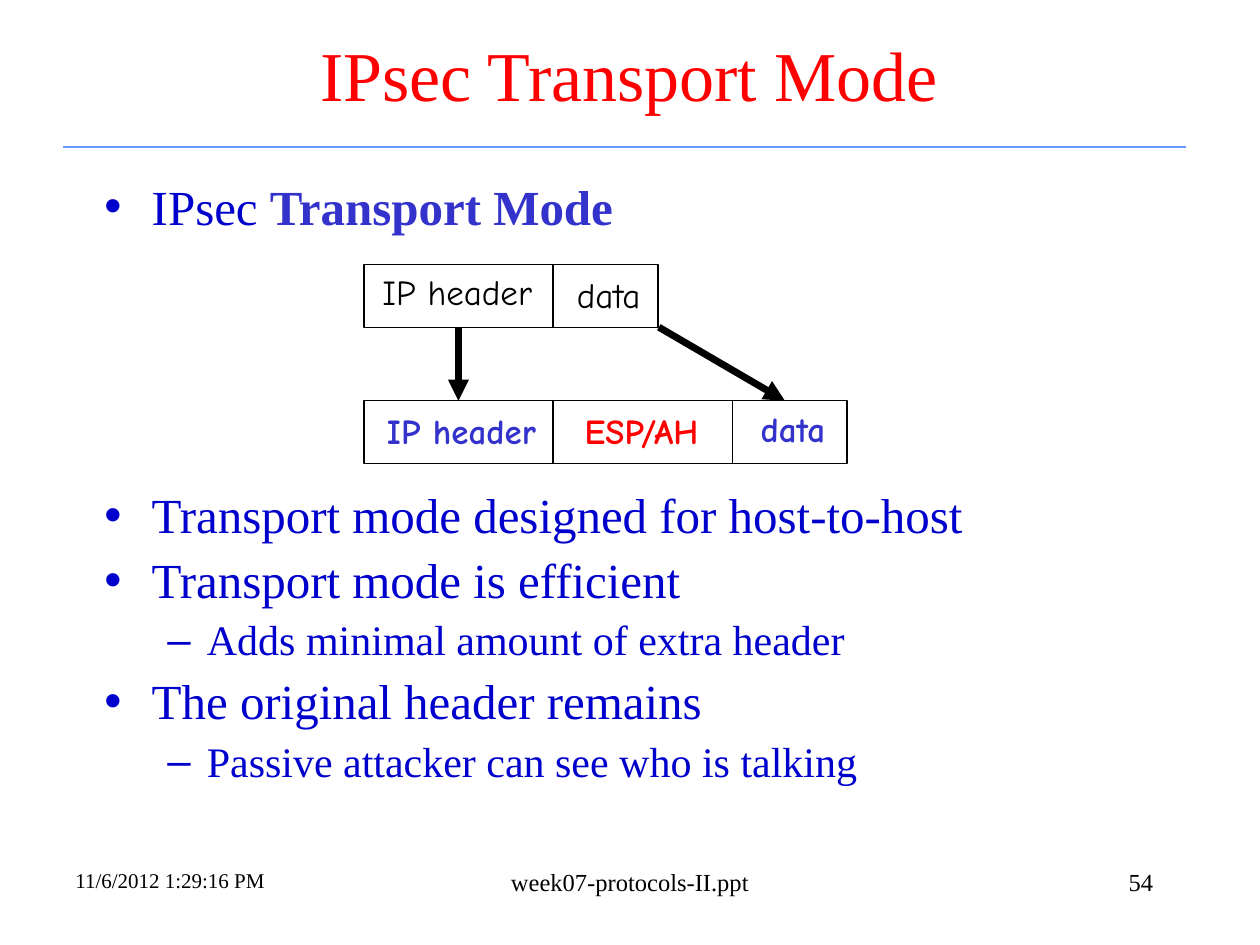
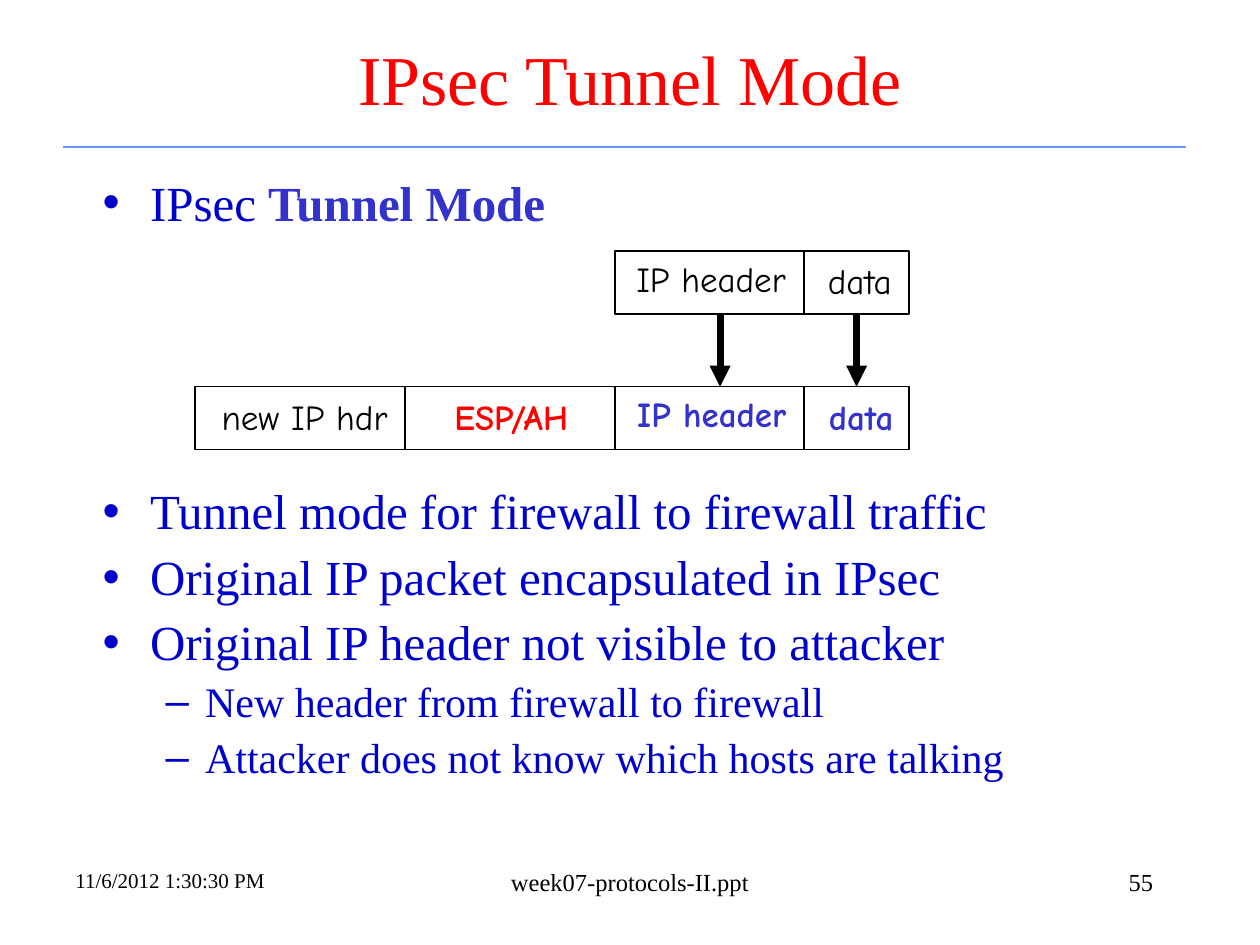
from pptx import Presentation
from pptx.util import Pt
from pptx.dml.color import RGBColor
from pptx.enum.shapes import MSO_CONNECTOR, MSO_SHAPE
from pptx.enum.text import MSO_ANCHOR, MSO_AUTO_SIZE, PP_ALIGN
from pptx.oxml.ns import qn
from lxml.etree import SubElement

COLORS = {"title": "FF0000", "text": "0000CC", "key": "3333CC",
          "esp": "FF0000", "black": "000000", "rule": "6699FF"}
SERIF = "Times New Roman"
COMIC = "Comic Neue"
FOOTER = "week07-protocols-II.ppt"
LEVELS = [{"size": 28, "mark": "•", "left": 27, "hang": 27, "before": 7},
          {"size": 24, "mark": "–", "left": 58.5, "hang": 22.5, "before": 6}]
LABELS = {"IP header": 100, "data": 51.5, "ESP/AH": 82, "new IP hdr": 109.5}
CELL = 36

# Rows hold left, top and cells; each cell is text, width, colour, label left, label top.
SLIDES = [
    {
        "title": "IPsec Transport Mode", "place": (53.5, 15, 612, 54),
        "mode": "Transport Mode", "head": (52.5, 97, 588, 48),
        "rows": [
            (208, 151, [("IP header", 108, "black", 211.5, 151),
                        ("data", 60, "black", 322.5, 152.5)]),
            (208, 229, [("IP header", 108, "key", 214, 230.5),
                        ("ESP/AH", 102.5, "esp", 327, 230.5),
                        ("data", 65.5, "key", 427.5, 229.5)]),
        ],
        "arrows": [(262, 262), (376.5, 448.5)],
        "list": (52.5, 277, 630, 198),
        "points": [(0, "Transport mode designed for host-to-host"),
                   (0, "Transport mode is efficient"),
                   (1, "Adds minimal amount of extra header"),
                   (0, "The original header remains"),
                   (1, "Passive attacker can see who is talking")],
        "date": "11/6/2012 1:29:16 PM", "page": "54",
    },
    {
        "title": "IPsec Tunnel Mode", "place": (54, 24, 612, 40),
        "mode": "Tunnel Mode", "head": (51.5, 95, 528, 42),
        "rows": [
            (351.5, 143.5, [("IP header", 108, "black", 356.5, 143.5),
                            ("data", 60, "black", 466, 144.5)]),
            (111.5, 221, [("new IP hdr", 120, "black", 119.5, 222.5),
                          ("ESP/AH", 120, "esp", 252.5, 222.5),
                          ("IP header", 108, "key", 357, 221),
                          ("data", 60, "key", 466.5, 222.5)]),
        ],
        "arrows": [(411.5, 411.5), (489.5, 489.5)],
        "list": (51.5, 275, 642, 198),
        "points": [(0, "Tunnel mode for firewall to firewall traffic"),
                   (0, "Original IP packet encapsulated in IPsec"),
                   (0, "Original IP header not visible to attacker"),
                   (1, "New header from firewall to firewall"),
                   (1, "Attacker does not know which hosts are talking")],
        "date": "11/6/2012 1:30:30 PM", "page": "55",
    },
]


def tint(name):
    return RGBColor.from_string(COLORS[name])


def write(para, text, size=28, font=SERIF, color="text", bold=False, align=None):
    run = para.add_run()
    run.text = text
    run.font.size = Pt(size)
    run.font.name = font
    run.font.bold = bold
    run.font.color.rgb = tint(color)
    if align is not None:
        para.alignment = align


def move(shape, box):
    shape.left, shape.top, shape.width, shape.height = map(Pt, box)
    shape.text_frame.auto_size = MSO_AUTO_SIZE.NONE


def label(slide, text, box, wrap=True, **style):
    shape = slide.shapes.add_textbox(*map(Pt, box))
    shape.text_frame.word_wrap = wrap
    write(shape.text_frame.paragraphs[0], text, **style)


def bullet(para, level, first, space=None):
    look = LEVELS[level]
    para.level = level
    props = para._p.get_or_add_pPr()
    props.set("marL", str(Pt(look["left"])))
    props.set("indent", str(-Pt(look["hang"])))
    SubElement(SubElement(props, qn("a:buClr")), qn("a:srgbClr"), val=COLORS["text"])
    SubElement(props, qn("a:buChar"), char=look["mark"])
    para.space_before = Pt(0 if first else look["before"])
    if space:
        para.line_spacing = space


def line(slide, x1, y1, x2, y2, color="black", width=0.75, arrow=False):
    link = slide.shapes.add_connector(MSO_CONNECTOR.STRAIGHT,
                                      Pt(x1), Pt(y1), Pt(x2), Pt(y2))
    link.line.color.rgb = tint(color)
    link.line.width = Pt(width)
    if arrow:
        SubElement(link.line._get_or_add_ln(), qn("a:tailEnd"), type="triangle")
    SubElement(link._element.spPr, qn("a:effectLst"))


def packet(slide, left, top, cells):
    for text, width, color, x, y in cells:
        label(slide, text, (x, y, LABELS[text], 31.5), wrap=False, size=20,
              font=COMIC, color=color, bold=color != "black")
    total = sum(cell[1] for cell in cells)
    frame = slide.shapes.add_shape(MSO_SHAPE.RECTANGLE, Pt(left), Pt(top),
                                   Pt(total), Pt(CELL))
    frame.shadow.inherit = False
    frame.fill.background()
    frame.line.color.rgb = tint("black")
    frame.line.width = Pt(0.75)
    edge = left
    for cell in cells[:-1]:
        edge += cell[1]
        line(slide, edge, top, edge, top + CELL)


def build(deck, data):
    slide = deck.slides.add_slide(deck.slide_layouts[3])
    title, head, points = slide.placeholders
    line(slide, 36, 84, 678, 84, color="rule", width=1)

    move(title, data["place"])
    title.text_frame.vertical_anchor = MSO_ANCHOR.MIDDLE
    write(title.text_frame.paragraphs[0], data["title"], size=40,
          color="title", align=PP_ALIGN.CENTER)

    move(head, data["head"])
    para = head.text_frame.paragraphs[0]
    bullet(para, 0, True)
    write(para, "IPsec ")
    write(para, data["mode"], color="key", bold=True)

    for row in data["rows"]:
        packet(slide, *row)
    start, end = data["rows"][0][1] + CELL, data["rows"][1][1]
    for x1, x2 in data["arrows"]:
        line(slide, x1, start, x2, end, width=4, arrow=True)

    move(points, data["list"])
    body = points.text_frame
    for index, (level, text) in enumerate(data["points"]):
        para = body.add_paragraph() if index else body.paragraphs[0]
        bullet(para, level, index == 0, 0.9)
        write(para, text, size=LEVELS[level]["size"])

    label(slide, FOOTER, (246, 492, 228, 36), size=14, color="black",
          align=PP_ALIGN.CENTER)
    label(slide, data["page"], (516, 492, 150, 36), size=14, color="black",
          align=PP_ALIGN.RIGHT)
    label(slide, data["date"], (36, 492, 231, 36), size=12, color="black")


def main():
    deck = Presentation()
    deck.slide_width, deck.slide_height = Pt(720), Pt(540)
    for data in SLIDES:
        build(deck, data)
    deck.save("out.pptx")


if __name__ == "__main__":
    main()
